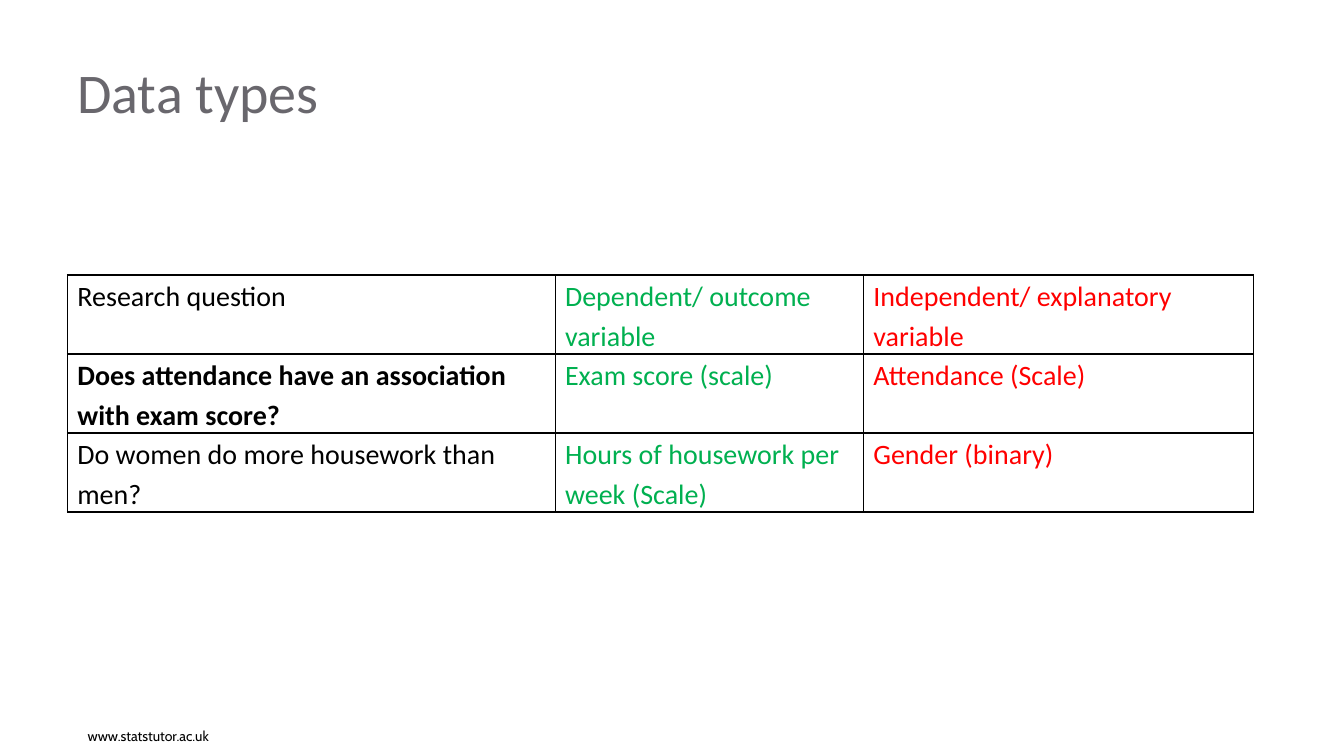
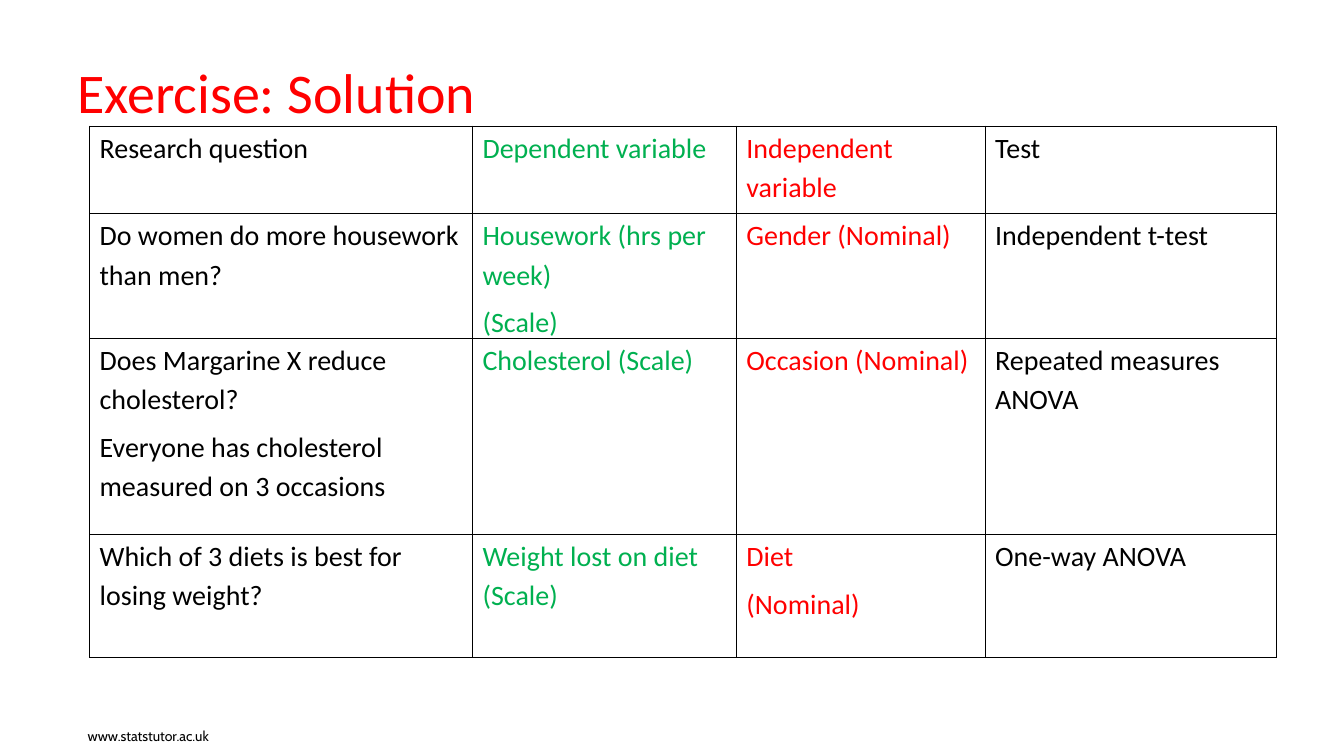
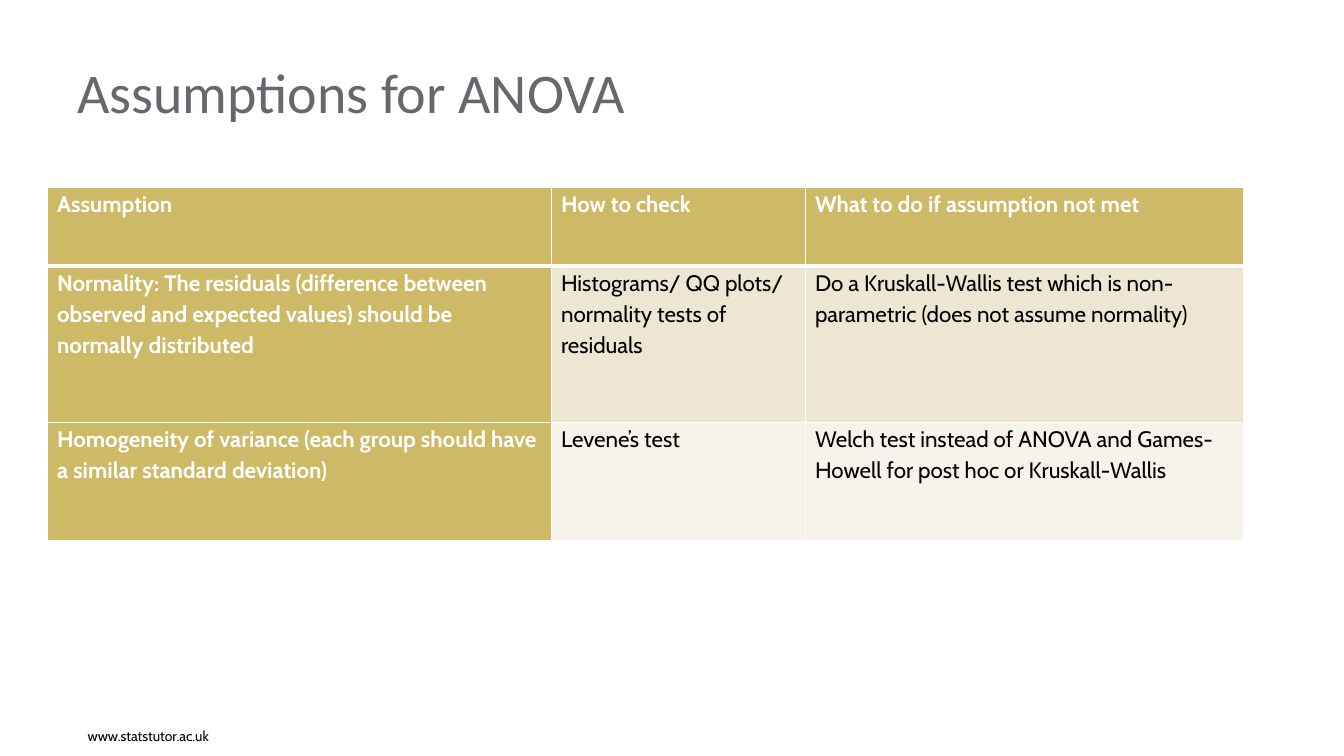
from pptx import Presentation
from pptx.dml.color import RGBColor
from pptx.enum.text import MSO_ANCHOR, PP_ALIGN
from pptx.oxml import parse_xml
from pptx.oxml.ns import nsdecls
from pptx.util import Cm, Pt

# Shared look
BLACK, WHITE, GREY = "000000", "FFFFFF", "69676D"
GREEN, RED, GOLD = "00B050", "FF0000", "CEB966"
BANDS = ["EDE6D3", "F6F3EA"]
COLUMN_COLOURS = [BLACK, GREEN, RED, BLACK]
TITLE_FONT = {"name": "Calibri", "size": Pt(40), "bold": False}
FOOTER_FONT = {"name": "Cabin", "size": Pt(10), "bold": False}
FOOTER = "www.statstutor.ac.uk"
FOOTER_AREA = (-0.56, 17.98, 6.07, 0.89)

# Content: lengths in centimetres, a list in a cell holds its paragraphs
SLIDES = [
    {
        "title": "Data types", "title_colour": GREY, "title_width": 31.5,
        "origin": (1.7, 6.93), "banded": False, "bold_cells": [(1, 0)],
        "columns": [12.29, 7.77, 9.83], "rows": [1.99] * 3,
        "cells": [
            ["Research question", "Dependent/ outcome variable",
             "Independent/ explanatory variable"],
            ["Does attendance have an association with exam score?",
             "Exam score (scale)", "Attendance (Scale)"],
            ["Do women do more housework than men?",
             "Hours of housework per week (Scale)", "Gender (binary)"],
        ],
    },
    {
        "title": "Exercise: Solution", "title_colour": RED, "title_width": 31.5,
        "origin": (2.26, 3.18), "banded": False, "bold_cells": [],
        "columns": [9.65, 6.65, 6.27, 7.34], "rows": [2.21, 3.1, 4.95, 3.1],
        "cells": [
            ["Research question", "Dependent variable", "Independent variable", "Test"],
            ["Do women do more housework than men?",
             ["Housework (hrs per week)", "(Scale)"],
             "Gender (Nominal)", "Independent t-test"],
            [["Does Margarine X reduce cholesterol?",
              "Everyone has cholesterol measured on 3 occasions"],
             "Cholesterol (Scale)", "Occasion (Nominal)", "Repeated measures ANOVA"],
            ["Which of 3 diets is best for losing weight?",
             "Weight lost on diet (Scale)", ["Diet", "(Nominal)"], "One-way ANOVA"],
        ],
    },
    {
        "title": "Assumptions for ANOVA", "title_colour": GREY, "title_width": 30.48,
        "origin": (1.19, 4.72), "banded": True, "bold_cells": [],
        "columns": [12.7, 6.4, 11.05], "rows": [1.98, 3.94, 2.97],
        "cells": [
            ["Assumption", "How to check", "What to do if assumption not met"],
            ["Normality: The residuals (difference between observed and expected "
             "values) should be normally distributed",
             "Histograms/ QQ plots/ normality tests of residuals",
             "Do a Kruskall-Wallis test which is non-parametric "
             "(does not assume normality)"],
            ["Homogeneity of variance (each group should have a similar "
             "standard deviation)",
             "Levene’s test",
             "Welch test instead of ANOVA and Games-Howell for post hoc "
             "or Kruskall-Wallis"],
        ],
    },
]


def colour(code):
    return RGBColor.from_string(code)


def apply(target, values):
    for name, value in values.items():
        setattr(target, name, value)


def write(frame, paragraphs, font, code, layout):
    for index, text in enumerate(paragraphs):
        paragraph = frame.paragraphs[0] if index == 0 else frame.add_paragraph()
        apply(paragraph, layout)
        span = paragraph.add_run()
        span.text = text
        apply(span.font, font)
        span.font.color.rgb = colour(code)


def add_text(page, area, text, font, code, align, anchor):
    box = page.shapes.add_textbox(*[Cm(length) for length in area])
    apply(box.text_frame, {"word_wrap": True, "vertical_anchor": anchor})
    write(box.text_frame, [text], font, code, {"alignment": align})


def set_borders(cell, code, widths):
    properties = cell._tc.get_or_add_tcPr()
    for side in "LRTB":
        properties.append(parse_xml(
            f'<a:ln{side} {nsdecls("a")} w="{Pt(widths.get(side, 1))}">'
            f'<a:solidFill><a:srgbClr val="{code}"/></a:solidFill></a:ln{side}>'))


def cell_style(content, row, column):
    """Return text colour, bold, fill, border colour and thick border sides."""
    if not content["banded"]:
        bold = (row, column) in content["bold_cells"]
        return COLUMN_COLOURS[column], bold, None, BLACK, {}
    heading = row == 0 or column == 0
    thick = {0: {"B": 3}, 1: {"T": 3}}.get(row, {})
    fill = GOLD if heading else BANDS[(row - 1) % 2]
    return WHITE if heading else BLACK, heading, fill, WHITE, thick


def add_grid(page, content):
    columns, rows = content["columns"], content["rows"]
    area = (*content["origin"], sum(columns), sum(rows))
    table = page.shapes.add_table(
        len(rows), len(columns), *[Cm(length) for length in area]).table
    apply(table, {"first_row": False, "horz_banding": False})
    for index, width in enumerate(columns):
        table.columns[index].width = Cm(width)
    for index, height in enumerate(rows):
        table.rows[index].height = Cm(height)

    banded = content["banded"]
    font = {"name": "Cabin" if banded else "Calibri", "size": Pt(16 if banded else 20)}
    layout = {"line_spacing": 1.15, "space_after": Pt(10 if banded else 6)}
    for row, entries in enumerate(content["cells"]):
        for column, entry in enumerate(entries):
            code, bold, fill, border, thick = cell_style(content, row, column)
            cell = table.cell(row, column)
            apply(cell, {"margin_left": Cm(0.25), "margin_right": Cm(0.25),
                         "margin_top": 0, "margin_bottom": 0})
            set_borders(cell, border, thick)
            if fill:
                cell.fill.solid()
                cell.fill.fore_color.rgb = colour(fill)
            else:
                cell.fill.background()
            paragraphs = entry if isinstance(entry, list) else [entry]
            write(cell.text_frame, paragraphs, {**font, "bold": bold}, code, layout)


def main():
    deck = Presentation()
    apply(deck, {"slide_width": Cm(33.87), "slide_height": Cm(19.05)})
    for content in SLIDES:
        page = deck.slides.add_slide(deck.slide_layouts[6])
        # Title, table, footer
        add_text(page, (1.7, 1.32, content["title_width"], 2.62), content["title"],
                 TITLE_FONT, content["title_colour"], PP_ALIGN.LEFT, MSO_ANCHOR.TOP)
        add_grid(page, content)
        add_text(page, FOOTER_AREA, FOOTER, FOOTER_FONT, BLACK,
                 PP_ALIGN.RIGHT, MSO_ANCHOR.BOTTOM)
    deck.save("out.pptx")


if __name__ == "__main__":
    main()
